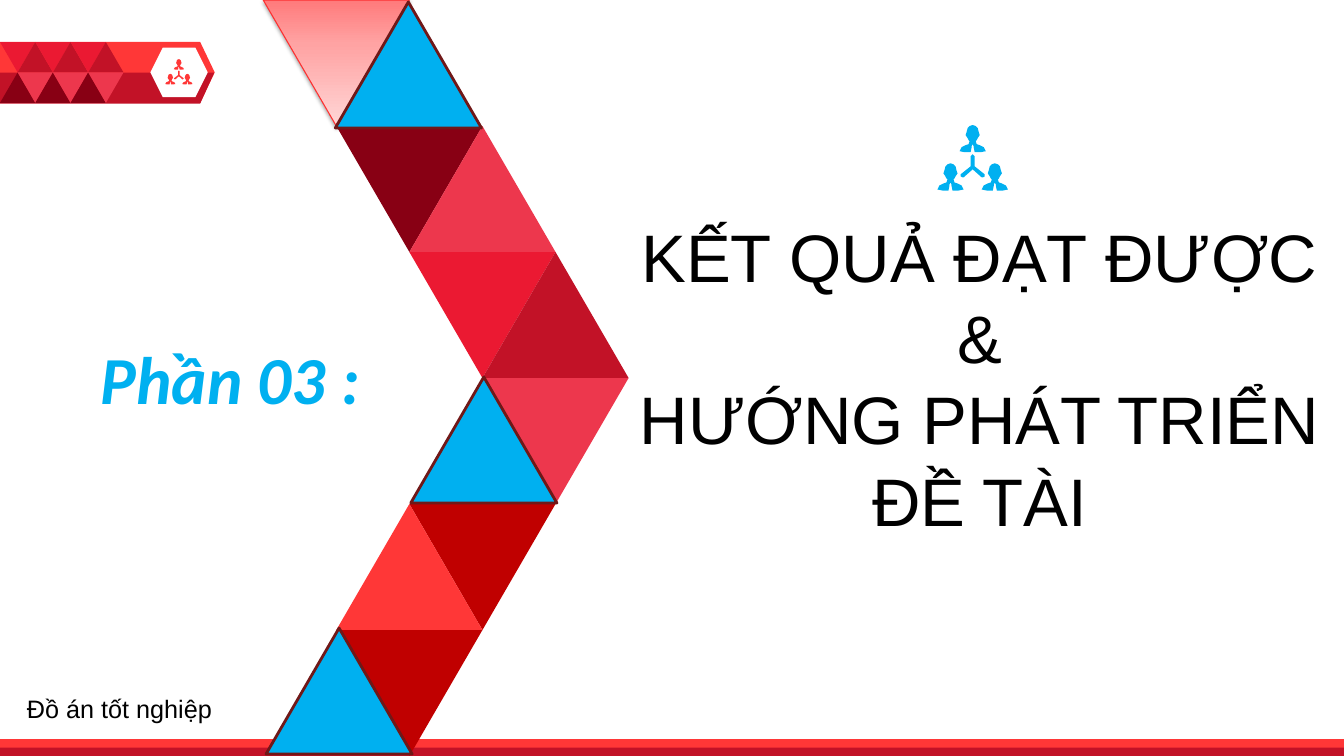
from copy import deepcopy

from lxml import etree
from pptx import Presentation
from pptx.dml.color import RGBColor
from pptx.enum.shapes import MSO_SHAPE as SHAPE
from pptx.enum.text import MSO_ANCHOR as ANCHOR, MSO_AUTO_SIZE as AUTO, PP_ALIGN as ALIGN
from pptx.oxml.ns import qn
from pptx.util import Pt

COLORS = {
    "red": "FF3737", "crimson": "C21227", "scarlet": "EB1932", "rose": "ED374D",
    "wine": "880014", "brick": "C00000", "blue": "00B0F0", "outline": "701818",
    "pink_line": "FD3030", "pink_dark": "FF7A7B", "pink_mid": "FFA3A3",
    "pink_light": "FFD6D6", "white": "FFFFFF", "black": "000000",
}

# Right halves of the icon outlines, in units of 1/70 of the icon width
PERSON = [(0, 0), (3, 1), (5, 3), (6, 7), (7, 10), (5, 13), (4, 15), (3, 16),
          (4, 19), (7, 20), (11, 22), (13, 26), (8, 27), (2, 27), (1, 22),
          (1.5, 21), (0, 19)]
FORK = [(0, 29), (1.5, 29.5), (2, 31), (2, 41), (12, 49), (12, 51), (10, 52),
        (9, 52), (0, 44)]
ICON_PARTS = [(PERSON, 35, 0), (PERSON, 13, 38), (PERSON, 57, 38), (FORK, 35, 0)]

# (row, half-step column, colour) of the chevron triangles
CHEVRON = [
    (1, 1, "wine"), (1, 2, "rose"), (2, 2, "scarlet"), (2, 3, "crimson"),
    (3, 3, "rose"), (4, 2, "brick"), (4, 1, "red"), (5, 1, "brick"),
]
# (row, column, shift right, shift down) of the outlined triangles
ACCENTS = [(3, 2, 1, -0.7), (5, 0, 2, -1.4), (0, 1, -0.7, 1.4)]


def rgb(name):
    return RGBColor.from_string(COLORS[name])


def paint(sp, fill, line=None, width=0):
    sp.shadow.inherit = False
    sp.fill.solid()
    sp.fill.fore_color.rgb = rgb(fill)
    if line:
        sp.line.color.rgb = rgb(line)
        sp.line.width = Pt(width)
    else:
        sp.line.fill.background()
    return sp


def add_block(slide, kind, x, y, w, h, fill, line=None, width=0):
    sp = slide.shapes.add_shape(kind, Pt(x), Pt(y), Pt(w), Pt(h))
    return paint(sp, fill, line, width)


def add_outline(slide, contours, x, y, unit, fill):
    """Draw closed contours, given in units of `unit` points from (x, y)."""
    (x0, y0), *rest = contours[0]
    builder = slide.shapes.build_freeform(x0, y0, scale=Pt(1) * unit)
    builder.add_line_segments(rest)
    for (x0, y0), *rest in contours[1:]:
        builder.move_to(x0, y0)
        builder.add_line_segments(rest)
    return paint(builder.convert_to_shape(Pt(x), Pt(y)), fill)


def add_people_icon(slide, x, y, w, fill):
    contours = []
    for half, cx, top in ICON_PARTS:
        right = [(cx + dx, top + dy) for dx, dy in half]
        left = [(cx - dx, top + dy) for dx, dy in reversed(half[1:-1])]
        contours.append(right + left)
    add_outline(slide, contours, x, y, w / 70, fill)


def add_triangle(slide, x, y, w, h, up, fill, line=None, width=0):
    sp = add_block(slide, SHAPE.ISOSCELES_TRIANGLE, x, y, w, h, fill, line, width)
    sp.rotation = 0 if up else 180
    return sp


def write(tf, lines, size, font="Arial", color="black", bold=False, italic=False,
          align=ALIGN.LEFT, spacing=None):
    tf.word_wrap = True
    tf.auto_size = AUTO.NONE
    tf.vertical_anchor = ANCHOR.TOP
    for i, line in enumerate(lines):
        p = tf.paragraphs[0] if i == 0 else tf.add_paragraph()
        p.alignment = align
        p.space_before = Pt(0)
        if spacing:
            p.line_spacing = Pt(spacing)
        r = p.add_run()
        r.text = line
        r.font.name, r.font.size = font, Pt(size)
        r.font.bold, r.font.italic = bold, italic
        r.font.color.rgb = rgb(color)


def move(sp, x, y, w, h):
    sp.left, sp.top, sp.width, sp.height = Pt(x), Pt(y), Pt(w), Pt(h)


def add_badge(slide, x, y, w, h):
    plate = add_block(slide, SHAPE.PENTAGON, x, y, w, h, "red")
    plate.adjustments[0] = 0.239
    mid = h / 2
    lower_half = [(0, mid), (w, mid), (w - 0.239 * h, h), (0, h)]
    add_outline(slide, [lower_half], x, y, 1, "crimson")
    hexagon = add_block(slide, SHAPE.HEXAGON, x + w - 46, y + 4, 41, 35.5, "white")
    hexagon.adjustments[0] = 0.25
    add_people_icon(slide, x + w - 35.3, y + 12.3, 19.4, "red")
    side = 25.2
    palette = [("scarlet", "crimson"), ("wine", "rose")]
    for row, colors in enumerate(palette):
        for col in range(6):
            add_triangle(slide, x + col * side / 2, y + row * mid, side, mid,
                         (row + col) % 2 == 1, colors[col % 2])


def add_footer(slide, x, y, w, h):
    add_block(slide, SHAPE.RECTANGLE, x, y, w, h, "red")
    add_block(slide, SHAPE.RECTANGLE, x, y + h / 2, w, h / 2, "crimson")


def shade_pink(sp):
    """Give a triangle the pink gradient and its soft shadow."""
    sp.fill.gradient()
    sp.fill.gradient_angle = 90
    stops = sp.fill.gradient_stops
    first = stops[0]._element
    first.addnext(deepcopy(first))
    names = ["pink_dark", "pink_mid", "pink_light"]
    for stop, name, position in zip(sp.fill.gradient_stops, names, (0, 0.35, 1)):
        stop.color.rgb = rgb(name)
        stop.position = position
    effects = sp._element.spPr.find(qn("a:effectLst"))
    shadow = etree.SubElement(effects, qn("a:outerShdw"), blurRad=str(Pt(3.1)),
                              dist=str(Pt(1.6)), dir="5400000", rotWithShape="0")
    color = etree.SubElement(shadow, qn("a:srgbClr"), val=COLORS["black"])
    etree.SubElement(color, qn("a:alpha"), val="37000")


def add_chevron(slide, x, y, w, h):
    """Stack six rows of triangles into an arrow pointing right."""
    step, tall = w / 5, h / 6
    side = 2 * step

    def place(row, col, fill, dx=0, dy=0, **line):
        turn = 1 if row < 3 else 0
        up = (row + col + turn) % 2 == (0 if row < 3 else 1)
        return add_triangle(slide, x + col * step + dx, y + row * tall + dy,
                            side, tall, up, fill, **line)

    shade_pink(place(0, 0, "pink_mid", line="pink_line", width=0.75))
    for row, col, fill in CHEVRON:
        place(row, col, fill)
    for row, col, dx, dy in ACCENTS:
        place(row, col, "blue", dx, dy, line="outline", width=2)


def add_heading(slide, x, y, w, h):
    title = slide.shapes.title
    move(title, x, y, w, h)
    lines = ["KẾT QUẢ ĐẠT ĐƯỢC", "&", "HƯỚNG PHÁT TRIỂN", "ĐỀ TÀI"]
    write(title.text_frame, lines, 48, align=ALIGN.CENTER, spacing=58)
    add_people_icon(slide, x + 221.8, y - 60.5, 50.4, "blue")


def add_part_label(slide, x, y, w, h):
    body = slide.placeholders[1]
    move(body, x, y, w, h)
    write(body.text_frame, ["Phần 03 :"], 48, font="Calibri", color="blue",
          bold=True, italic=True)


def add_caption(slide, x, y, w, h):
    box = slide.shapes.add_textbox(Pt(x), Pt(y), Pt(w), Pt(h))
    write(box.text_frame, ["Đồ án tốt nghiệp"], 18)


def main():
    prs = Presentation()
    prs.slide_width, prs.slide_height = Pt(960), Pt(540)
    slide = prs.slides.add_slide(prs.slide_layouts[2])
    add_badge(slide, 0, 30, 153.4, 43.5)
    add_footer(slide, 0, 528, 960, 12)
    add_chevron(slide, 188, 0, 261, 540)
    add_part_label(slide, 64.8, 237.6, 296.6, 64.8)
    add_heading(slide, 447.8, 149.8, 504, 239.8)
    add_caption(slide, 12.2, 491.8, 203.8, 28.8)
    prs.save("out.pptx")


if __name__ == "__main__":
    main()
